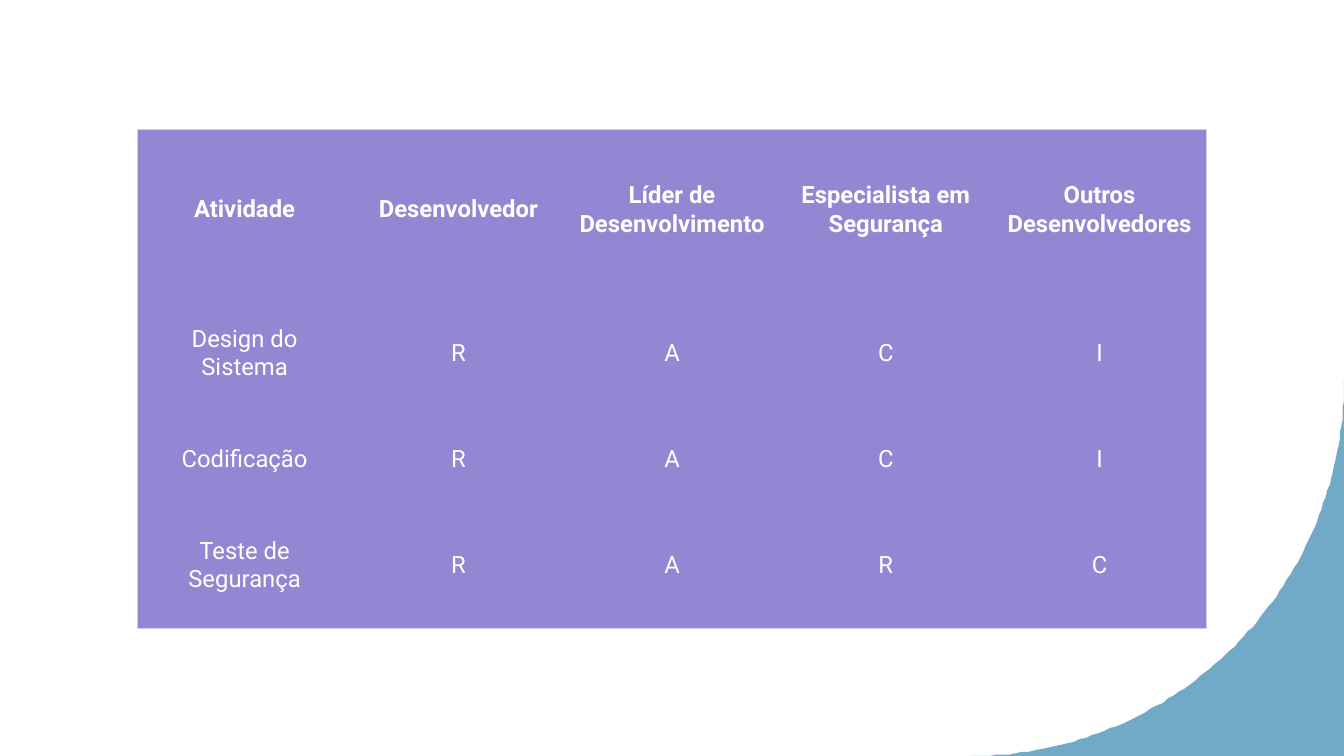
import math

from lxml import etree
from pptx import Presentation
from pptx.dml.color import RGBColor
from pptx.enum import text
from pptx.oxml import ns
from pptx.util import Pt

SLIDE_W, SLIDE_H = 960, 540
WHITE = RGBColor(0xFF, 0xFF, 0xFF)
PURPLE = RGBColor(0x94, 0x86, 0xD2)
LILAC = RGBColor(0xD3, 0xD0, 0xE9)
BLUE = RGBColor(0x71, 0xAA, 0xC7)

RACI = [
    ["Atividade", "Desenvolvedor", "Líder de Desenvolvimento",
     "Especialista em Segurança", "Outros Desenvolvedores"],
    ["Design do Sistema", "R", "A", "C", "I"],
    ["Codificação", "R", "A", "C", "I"],
    ["Teste de Segurança", "R", "A", "R", "C"],
]
ROW_SHARES = [1.61, 1.24, 0.87, 1.24]


def draw_corner(slide, left, top, width, height, steps=90):
    """Fill the box outside a quarter ellipse centred on its top left."""
    angles = [math.pi / 2 * i / steps for i in range(steps + 1)]
    arc = [(left + width * math.cos(a), top + height * math.sin(a)) for a in angles]
    outline = slide.shapes.build_freeform(*arc[0], scale=Pt(1))
    outline.add_line_segments(arc[1:] + [(left + width, top + height)])
    corner = outline.convert_to_shape()
    corner.shadow.inherit = False
    corner.fill.solid()
    corner.fill.fore_color.rgb = BLUE
    corner.line.fill.background()


def set_borders(cell, outer_sides):
    """Draw the sides on the table's edge and clear the others."""
    properties = cell._tc.get_or_add_tcPr()
    for index, side in enumerate("LRTB"):
        border = etree.Element(ns.qn(f"a:ln{side}"), w=str(Pt(0.5)))
        if side in outer_sides:
            fill = etree.SubElement(border, ns.qn("a:solidFill"))
            etree.SubElement(fill, ns.qn("a:srgbClr"), val=str(LILAC))
        else:
            etree.SubElement(border, ns.qn("a:noFill"))
        properties.insert(index, border)


def draw_matrix(slide, left, top, width, height):
    last_row, last_column = len(RACI) - 1, len(RACI[0]) - 1
    matrix = slide.shapes.add_table(
        len(RACI), len(RACI[0]), Pt(left), Pt(top), Pt(width), Pt(height)).table
    matrix.first_row = matrix.horz_banding = False
    for row, share in zip(matrix.rows, ROW_SHARES):
        row.height = Pt(height * share / sum(ROW_SHARES))

    for r, labels in enumerate(RACI):
        for c, label in enumerate(labels):
            cell = matrix.cell(r, c)
            cell.text = label
            cell.vertical_anchor = text.MSO_ANCHOR.MIDDLE
            cell.fill.solid()
            cell.fill.fore_color.rgb = PURPLE
            paragraph = cell.text_frame.paragraphs[0]
            paragraph.alignment = text.PP_ALIGN.CENTER
            paragraph.font.name = "Roboto"
            paragraph.font.size = Pt(17)
            paragraph.font.bold = r == 0
            paragraph.font.color.rgb = WHITE
            edges = {"L": c == 0, "R": c == last_column,
                     "T": r == 0, "B": r == last_row}
            set_borders(cell, [side for side in edges if edges[side]])


def main():
    deck = Presentation()
    deck.slide_width, deck.slide_height = Pt(SLIDE_W), Pt(SLIDE_H)
    slide = deck.slides.add_slide(deck.slide_layouts[6])

    # Decorative corner
    draw_corner(slide, 693, 272, SLIDE_W - 693, SLIDE_H - 272)
    # Responsibility matrix
    draw_matrix(slide, 98.4, 92, 763.5, 356.6)

    deck.save("out.pptx")


if __name__ == "__main__":
    main()
